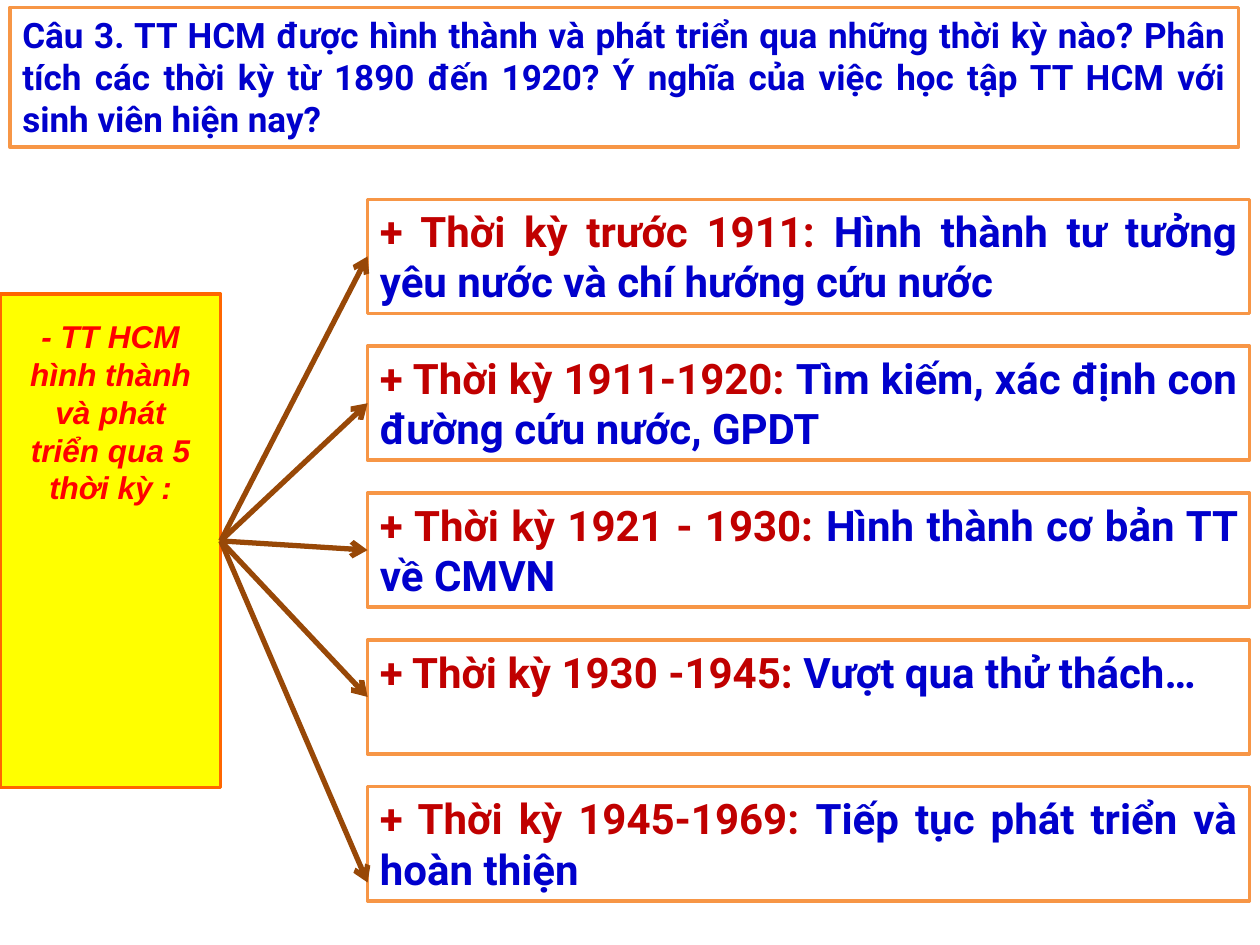
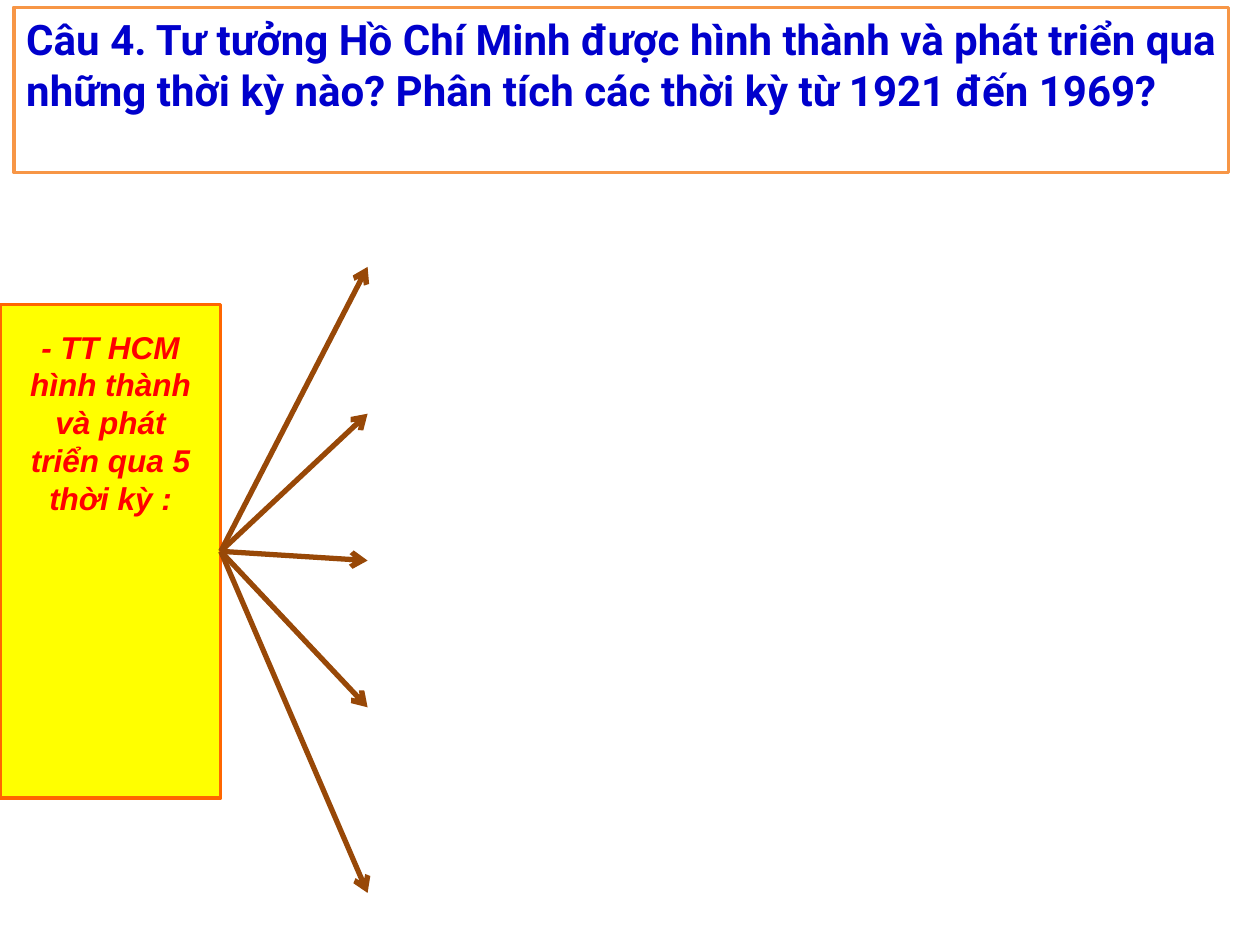
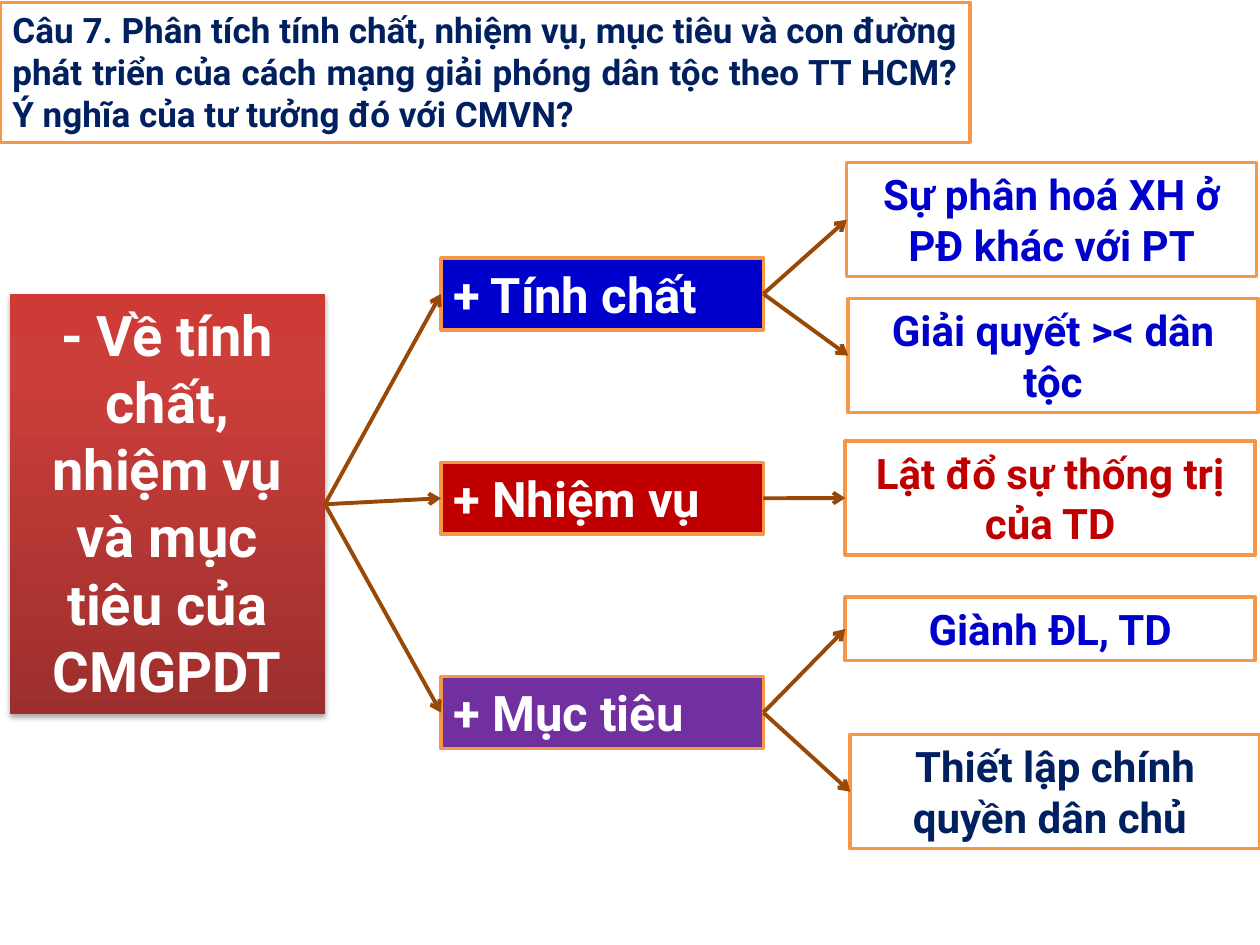
from copy import deepcopy
from dataclasses import dataclass

from lxml.etree import SubElement
from pptx import Presentation
from pptx.dml.color import RGBColor
from pptx.enum.shapes import MSO_CONNECTOR as Connector, MSO_SHAPE as Shape
from pptx.enum.text import MSO_ANCHOR as Anchor, PP_ALIGN as Align
from pptx.oxml.ns import qn
from pptx.util import Cm, Pt

TOP, LEFT, BOTTOM, RIGHT = range(4)


@dataclass(frozen=True)
class Theme:
    white: str = "FFFFFF"
    blue: str = "0000CC"
    crimson: str = "C00000"
    navy: str = "002060"
    purple: str = "7030A0"
    frame: str = "F79646"
    arrow: str = "984807"
    label_fill: str = "FFFF00"
    label_frame: str = "FF6600"
    label_text: str = "FF0000"
    root_gradient: tuple = ((0, "9C2F2D"), (0.8, "CB3E3A"), (1, "CE3B37"))
    body_font: str = "Roboto"
    label_font: str = "Arial"
    label_size: int = 18
    small_size: int = 20
    body_size: int = 24
    branch_size: int = 28
    root_size: int = 32
    frame_width: float = 2
    fork_width: float = 3
    map_width: float = 2.25


THEME = Theme()


@dataclass(frozen=True)
class Box:
    """A rectangle in centimetres."""
    x: float
    y: float
    w: float
    h: float

    def inner(self, dx, dy, w, h):
        return Box(self.x + dx, self.y + dy, w, h)

    def lengths(self):
        return Cm(self.x), Cm(self.y), Cm(self.w), Cm(self.h)


def rgb(color):
    return RGBColor.from_string(color)


def write(shape, parts, size, align, font=THEME.body_font):
    """Fill one paragraph with (text, colour) parts."""
    frame = shape.text_frame
    frame.word_wrap = True
    frame.vertical_anchor = Anchor.TOP
    paragraph = frame.paragraphs[0]
    paragraph.alignment = align
    paragraph.font.name = font
    paragraph.font.size = Pt(size)
    paragraph.font.bold = True
    for text, color in parts:
        run = paragraph.add_run()
        run.text = text
        run.font.color.rgb = rgb(color)
    return paragraph


def add_panel(shapes, box, fill=THEME.white, frame=THEME.frame):
    panel = shapes.add_shape(Shape.RECTANGLE, *box.lengths())
    panel.shadow.inherit = False
    panel.fill.solid()
    panel.fill.fore_color.rgb = rgb(fill)
    panel.line.color.rgb = rgb(frame)
    panel.line.width = Pt(THEME.frame_width)
    return panel


def add_card(slide, box, parts, size=THEME.body_size, align=Align.JUSTIFY,
             fill=THEME.white):
    card = add_panel(slide.shapes, box, fill)
    write(card, parts, size, align)
    return card


def add_arrow(slide, source, width, target=None, end=(0, 0)):
    """Lead from the right side of source to target, or to the point end."""
    arrow = slide.shapes.add_connector(
        Connector.STRAIGHT, source.left + source.width,
        source.top + source.height // 2, *end)
    arrow.begin_connect(source, RIGHT)
    if target is not None:
        arrow.end_connect(target, LEFT)
    arrow.line.color.rgb = rgb(THEME.arrow)
    arrow.line.width = Pt(width)
    SubElement(arrow.line._get_or_add_ln(), qn("a:tailEnd"), type="arrow")
    SubElement(arrow._element.spPr, qn("a:effectLst"))


def add_fork_label(slide, box):
    group = slide.shapes.add_group_shape()
    panel = add_panel(group.shapes, box, THEME.label_fill, THEME.label_frame)
    label = group.shapes.add_textbox(*box.inner(0.2, 0.34, 4.06, 9.4).lengths())
    paragraph = write(
        label,
        [("- TT HCM hình thành và phát triển qua 5 thời kỳ :", THEME.label_text)],
        THEME.label_size, Align.CENTER, THEME.label_font)
    paragraph.font.italic = True
    properties = paragraph.runs[0]._r.get_or_add_rPr()
    outline = SubElement(properties, qn("a:ln"), w=str(Pt(0.75)))
    properties.insert(0, outline)
    outline_fill = SubElement(outline, qn("a:solidFill"))
    SubElement(outline_fill, qn("a:srgbClr"), val=THEME.label_text)
    return panel


def add_period_fork(slide, box, periods=()):
    """Draw the label and five arrows, with a card for each period if given."""
    pitch, card_x, card_h = 2.96, 7.41, 2.3
    cards = [
        add_card(slide, box.inner(card_x, -1.91 + i * pitch, 17.78, card_h),
                 [(f"+ Thời kỳ {years}: ", THEME.crimson), (content, THEME.blue)])
        for i, (years, content) in enumerate(periods)]
    label = add_fork_label(slide, box)
    tips = [-0.76 + i * pitch for i in range(4)] + [11.86]
    for i, tip in enumerate(tips):
        joined = cards[i] if i < len(cards) and tip != tips[-1] else None
        add_arrow(slide, label, THEME.fork_width, joined,
                  (Cm(box.x + card_x), Cm(box.y + tip)))


def add_map_root(slide, box, text):
    root = add_card(slide, box, [(text, THEME.white)], THEME.root_size, Align.CENTER)
    root.line.fill.background()
    root.fill.gradient()
    root.fill.gradient_angle = 90
    properties = root._element.spPr
    stop_list = properties.find(qn("a:gradFill")).find(qn("a:gsLst"))
    stop_list.append(deepcopy(stop_list[0]))
    for stop, (position, color) in zip(root.fill.gradient_stops, THEME.root_gradient):
        stop.position = position
        stop.color.rgb = rgb(color)
    shadow = SubElement(
        properties.find(qn("a:effectLst")), qn("a:outerShdw"), blurRad=str(Pt(3.1)),
        dist=str(Pt(1.8)), dir="5400000", rotWithShape="0")
    shade = SubElement(shadow, qn("a:srgbClr"), val="000000")
    SubElement(shade, qn("a:alpha"), val="35000")
    return root


def add_mind_map(slide, box, root_text, branches):
    """Draw root, branches (text, fill, dy, leaves) and leaves (text, colour, dx, dy, h)."""
    root = add_map_root(slide, box.inner(0, 2.65, 6.35, 8.47), root_text)
    for text, fill, dy, leaves in branches:
        branch = add_card(slide, box.inner(8.69, dy, 6.5, 1.45),
                          [(text, THEME.white)], THEME.branch_size, fill=fill)
        add_arrow(slide, root, THEME.map_width, branch)
        for leaf_text, color, leaf_dx, leaf_dy, leaf_h in leaves:
            leaf = add_card(slide, box.inner(leaf_dx, leaf_dy, 8.26, leaf_h),
                            [(leaf_text, color)], align=Align.CENTER)
            add_arrow(slide, branch, THEME.map_width, leaf)


PERIODS = [
    ("trước 1911", "Hình thành tư tưởng yêu nước và chí hướng cứu nước"),
    ("1911-1920", "Tìm kiếm, xác định con đường cứu nước, GPDT"),
    ("1921 - 1930", "Hình thành cơ bản TT về CMVN"),
    ("1930 -1945", "Vượt qua thử thách…"),
    ("1945-1969", "Tiếp tục phát triển và hoàn thiện"),
]

BRANCHES = [
    ("+ Tính chất", THEME.blue, 1.92, [
        ("Sự phân hoá XH ở PĐ khác với PT", THEME.blue, 16.87, 0, 2.3),
        ("Giải quyết >< dân tộc", THEME.blue, 16.9, 2.74, 2.3)]),
    ("+ Nhiệm vụ", THEME.crimson, 6.04, [
        ("Lật đổ sự thống trị của TD", THEME.crimson, 16.84, 5.61, 2.3)]),
    ("+ Mục tiêu", THEME.purple, 10.36, [
        ("Giành ĐL, TD", THEME.blue, 16.84, 8.76, 1.28),
        ("Thiết lập chính quyền dân chủ ", THEME.navy, 16.94, 11.53, 2.3)]),
]


def main():
    deck = Presentation()
    deck.slide_width, deck.slide_height = Cm(25.4), Cm(19.05)
    blank = deck.slide_layouts[6]
    early, late, liberation = (deck.slides.add_slide(blank) for _ in range(3))

    add_card(early, Box(0.2, 0.15, 24.77, 2.82), [(
        "Câu 3. TT HCM được hình thành và phát triển qua những thời kỳ nào? "
        "Phân tích các thời kỳ từ 1890 đến 1920? Ý nghĩa của việc học tập "
        "TT HCM với sinh viên hiện nay?", THEME.blue)], THEME.small_size)
    add_period_fork(early, Box(0, 5.93, 4.45, 9.95), PERIODS)

    add_period_fork(late, Box(0, 6.14, 4.45, 9.95))
    add_card(late, Box(0.28, 0.15, 24.49, 3.33), [(
        "Câu 4. Tư tưởng Hồ Chí Minh được hình thành và phát triển qua những "
        "thời kỳ nào? Phân tích các thời kỳ từ 1921 đến 1969?", THEME.blue)])

    add_card(liberation, Box(0, 0.05, 19.56, 2.82), [(
        "Câu 7. Phân tích tính chất, nhiệm vụ, mục tiêu và con đường phát triển "
        "của cách mạng giải phóng dân tộc theo TT HCM? Ý nghĩa của tư tưởng đó "
        "với CMVN?", THEME.navy)], THEME.small_size)
    add_mind_map(liberation, Box(0.2, 3.28, 25.2, 13.84),
                 "- Về tính chất, nhiệm vụ và mục tiêu của CMGPDT", BRANCHES)

    deck.save("out.pptx")


if __name__ == "__main__":
    main()
